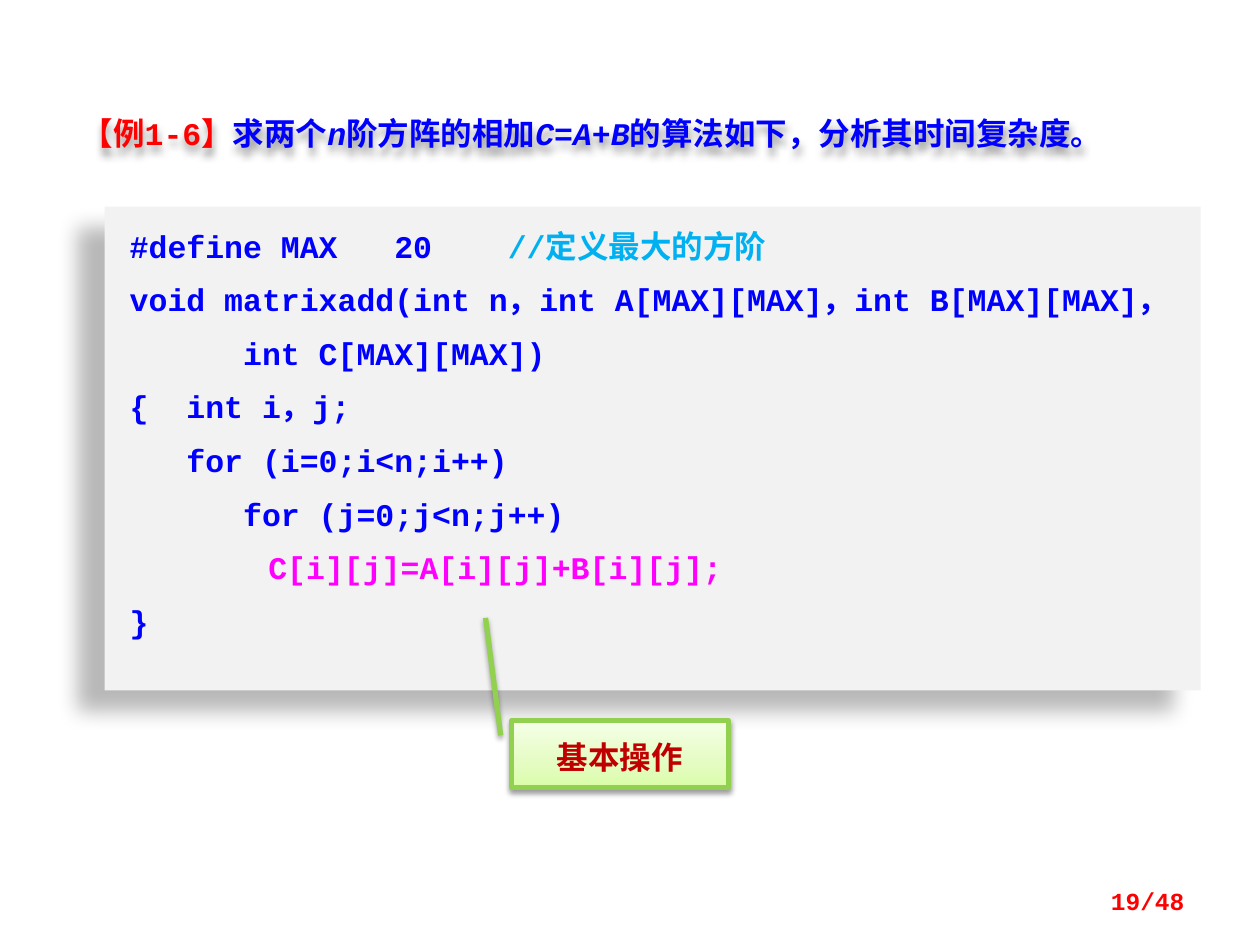
from copy import deepcopy
from dataclasses import dataclass

from lxml import etree
from pptx import Presentation
from pptx.dml.color import RGBColor
from pptx.enum.shapes import MSO_SHAPE
from pptx.enum.text import MSO_ANCHOR, MSO_AUTO_SIZE, PP_ALIGN
from pptx.oxml.ns import qn
from pptx.util import Inches, Pt

RECT = MSO_SHAPE.RECTANGLE
CALLOUT = MSO_SHAPE.LINE_CALLOUT_2
TOP, MIDDLE = MSO_ANCHOR.TOP, MSO_ANCHOR.MIDDLE
GROW = MSO_AUTO_SIZE.SHAPE_TO_FIT_TEXT
JUST, CENTER, RIGHT = PP_ALIGN.JUSTIFY, PP_ALIGN.CENTER, PP_ALIGN.RIGHT
CODE, HAN = "Courier New", "Noto Sans CJK JP"
BLUE, RED, CYAN, PINK = "0000FF", "FF0000", "00B0F0", "FF00FF"


@dataclass
class Part:
    text: str
    color: str = BLUE
    italic: bool = False


@dataclass
class Shade:
    alpha: int
    blur: float
    dist: float
    angle: int


TITLE = [
    Part("【例1-6】", RED), Part("求两个"), Part("n", italic=True),
    Part("阶方阵的相加"), Part("C", italic=True), Part("="),
    Part("A", italic=True), Part("+"), Part("B", italic=True),
    Part("的算法如下，分析其时间复杂度。"),
]
LINES = [
    [Part("#define MAX   20    "), Part("//定义最大的方阶", CYAN)],
    [Part("void matrixadd(int n，int A[MAX][MAX]，int B[MAX][MAX]，")],
    [Part("      int C[MAX][MAX])")],
    [Part("{  int i，j;")],
    [Part("   for (i=0;i<n;i++)")],
    [Part("      for (j=0;j<n;j++) ")],
    [Part("\t    "), Part("C[i][j]=A[i][j]+B[i][j]; ", PINK)],
    [Part("}")],
]


def rgb(code: str) -> RGBColor:
    return RGBColor.from_string(code)


def box(left: float, top: float, wide: float, high: float) -> list:
    return [Inches(v) for v in (left, top, wide, high)]


def cast(shape, shade: Shade) -> None:
    shape.shadow.inherit = False
    effects = shape._element.spPr.find(qn("a:effectLst"))
    outer = etree.SubElement(
        effects, qn("a:outerShdw"), blurRad=str(Pt(shade.blur)),
        dist=str(Pt(shade.dist)), dir=str(shade.angle * 60000),
        algn="tl", rotWithShape="0")
    color = etree.SubElement(outer, qn("a:srgbClr"), val="000000")
    etree.SubElement(color, qn("a:alpha"), val=str(shade.alpha * 1000))


def blend(shape, stops: list[tuple[str, float]], angle: int) -> None:
    fill = shape.fill
    fill.gradient()
    fill.gradient_angle = angle
    items = shape._element.spPr.find(qn("a:gradFill")).find(qn("a:gsLst"))
    while len(items) < len(stops):
        items.append(deepcopy(items[0]))
    for stop, (color, place) in zip(fill.gradient_stops, stops):
        stop.color.rgb = rgb(color)
        stop.position = place


def write(shape, lines: list[list[Part]], align: PP_ALIGN,
          font: str = CODE, size: int = 18, anchor: MSO_ANCHOR = TOP) -> None:
    frame = shape.text_frame
    frame.word_wrap = True
    frame.vertical_anchor = anchor
    for row, parts in enumerate(lines):
        para = frame.add_paragraph() if row else frame.paragraphs[0]
        para.alignment = align
        if row:
            para.space_before = Pt(size / 2)
        for part in parts:
            run = para.add_run()
            run.text = part.text
            run.font.name = font
            run.font.size = Pt(size)
            run.font.bold = True
            run.font.italic = part.italic
            run.font.color.rgb = rgb(part.color)
            etree.SubElement(run.font._element, qn("a:ea"), typeface=HAN)


def main() -> None:
    deck = Presentation()
    deck.slide_width, deck.slide_height = Inches(10), Inches(7.5)
    shapes = deck.slides.add_slide(deck.slide_layouts[6]).shapes

    panel = shapes.add_shape(RECT, *box(0.83, 1.64, 8.7, 3.84))
    panel.fill.solid()
    panel.fill.fore_color.rgb = rgb("F2F2F2")
    panel.line.fill.background()
    cast(panel, Shade(28, 11.8, 19.7, 141))
    frame = panel.text_frame
    frame.margin_left, frame.margin_right = Inches(0.2), Inches(0.1)
    frame.margin_top = frame.margin_bottom = Inches(0.16)
    frame.auto_size = GROW
    write(panel, LINES, JUST)

    note = shapes.add_shape(CALLOUT, *box(4.06, 5.72, 1.72, 0.53))
    for spot, value in enumerate((0.22, -0.05, 0.22, -0.05, -1.54, -0.12)):
        note.adjustments[spot] = value
    blend(note, [("DAFDA7", 0), ("E4FCC2", 0.35), ("F5FFE7", 1)], 90)
    note.line.color.rgb = rgb("92D050")
    note.line.width = Pt(3)
    cast(note, Shade(38, 3.1, 1.6, 90))
    write(note, [[Part("基本操作", "C00000")]], CENTER, HAN, anchor=MIDDLE)
    note.text_frame.paragraphs[0].line_spacing = Pt(25)

    title = shapes.add_textbox(*box(0.55, 0.86, 8.9, 0.4))
    title.text_frame.auto_size = GROW
    cast(title, Shade(40, 4, 3, 90))
    write(title, [TITLE], JUST)

    page = shapes.add_textbox(*box(7.17, 6.95, 2.33, 0.4))
    write(page, [[Part("19/48", RED)]], RIGHT, size=14, anchor=MIDDLE)

    deck.save("out.pptx")


if __name__ == "__main__":
    main()
